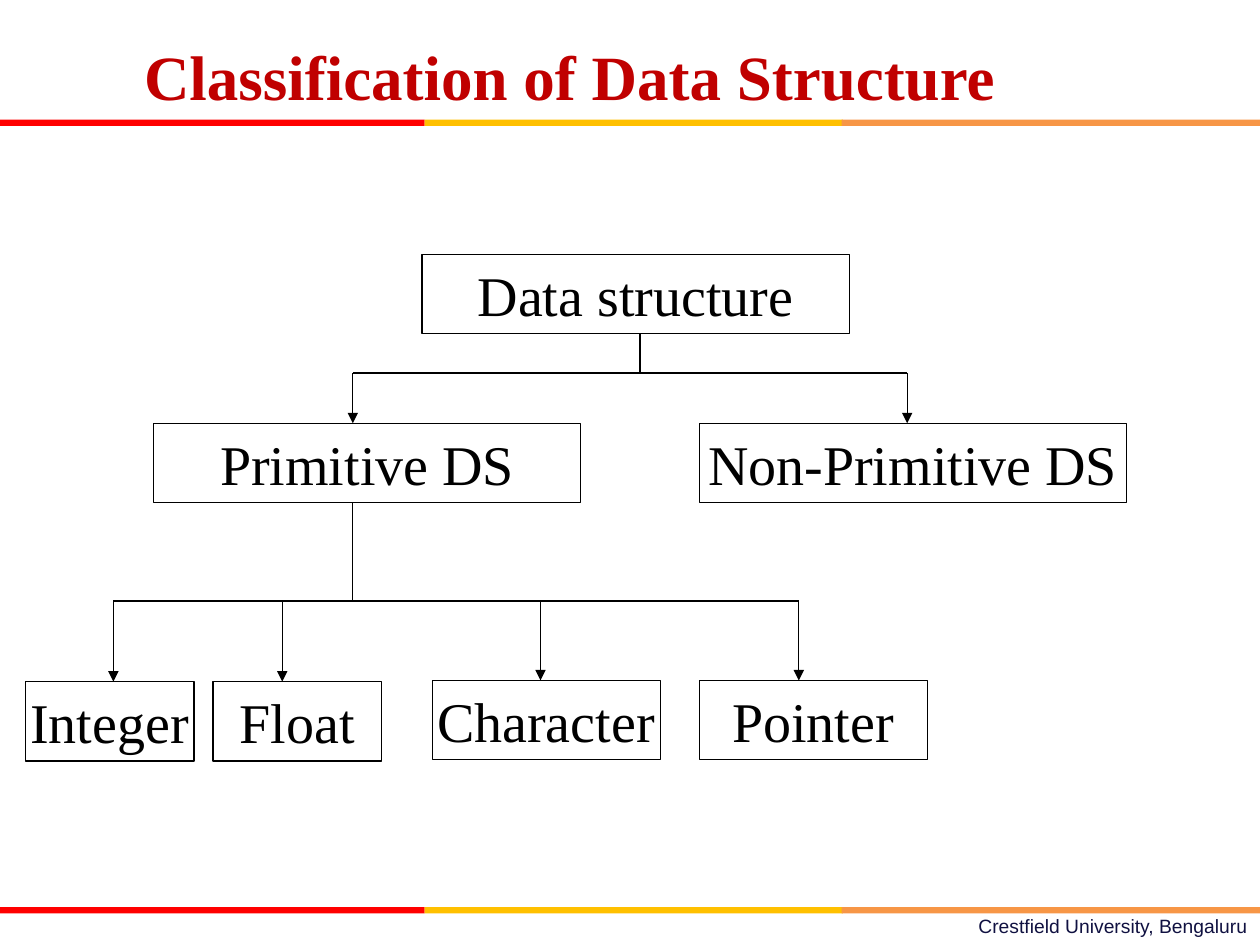
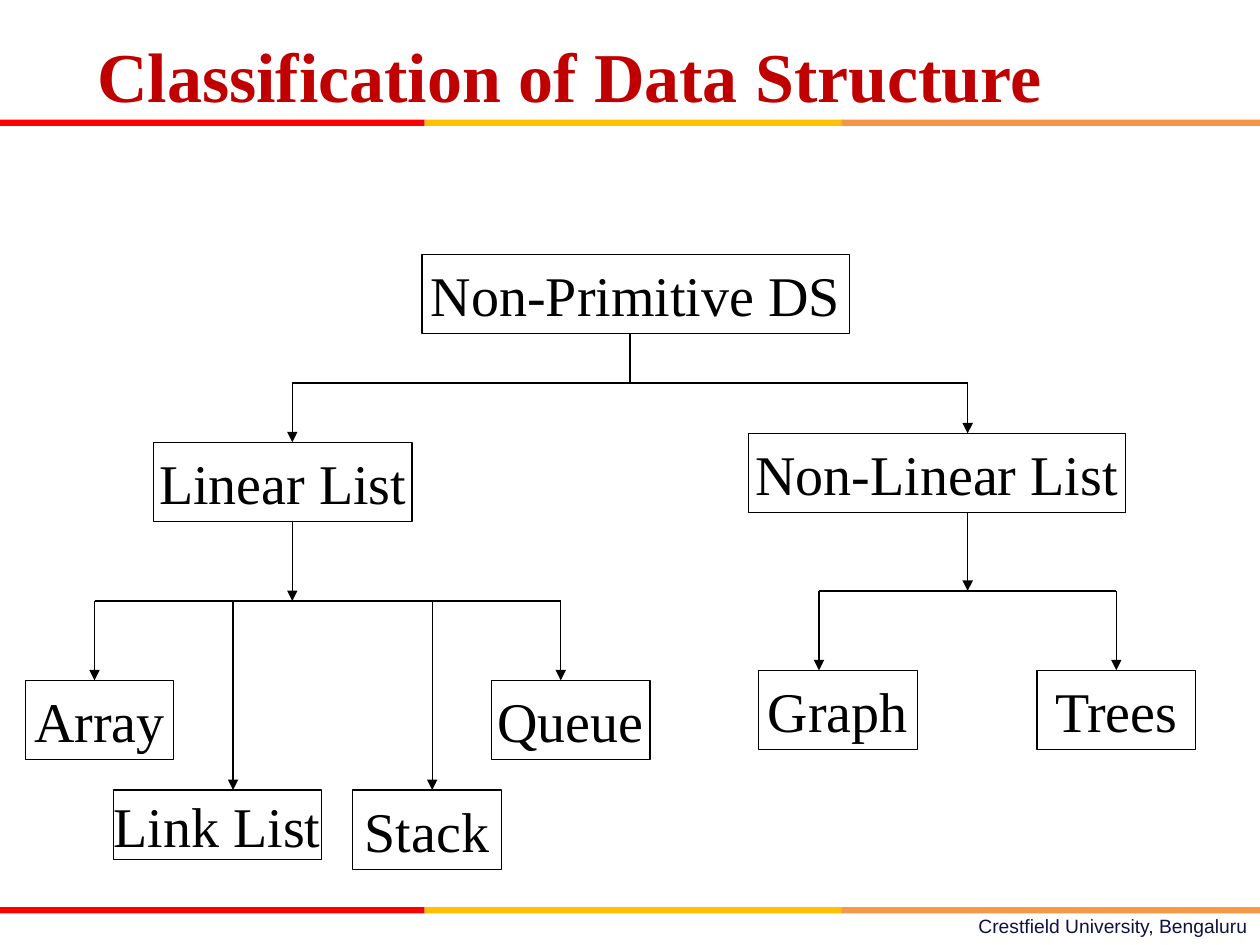
"""Build two slides that classify data structures as tree diagrams."""
from lxml.etree import SubElement
from pptx import Presentation
from pptx.dml.color import RGBColor
from pptx.enum.shapes import MSO_CONNECTOR as Connector, MSO_SHAPE as Shape
from pptx.enum.text import MSO_ANCHOR as Anchor, MSO_AUTO_SIZE as AutoSize, PP_ALIGN as Align
from pptx.oxml.ns import qn
from pptx.util import Inches, Pt

COLORS = {
    "title": "C00000", "footer": "101141", "ink": "000000", "paper": "FFFFFF",
    "red": "FF0000", "amber": "FFC000", "orange": "F79646",
}
SERIF, SANS = "Times New Roman", "Arial"
TITLE = "Classification of Data Structure"
FOOTER = "Crestfield University, Bengaluru"
FOOTER_AREA = (3.58, 7.21, 6.42, 0.29)
BAND_PARTS = [("red", 0, 3.37), ("amber", 3.37, 3.32), ("orange", 6.68, 3.32)]
BAND_TOPS = [0.95, 7.2]
BAND_HEIGHT = 0.05
BOX_HEIGHT = 0.63

# Boxes: left, top, width, optional height. Branches: parent, stem x, bar y, stem arrow, drops.
SLIDES = [
    {
        "title_size": 36,
        "title_area": (0.02, 0.13, 9, 0.94),
        "boxes": {
            "Data structure": (3.35, 2.02, 3.39),
            "Primitive DS": (1.22, 3.36, 3.39),
            "Non-Primitive DS": (5.55, 3.36, 3.39),
            "Integer": (0.2, 5.41, 1.34),
            "Float": (1.69, 5.41, 1.34),
            "Character": (3.43, 5.4, 1.81),
            "Pointer": (5.55, 5.4, 1.81),
        },
        "branches": [
            ("Data structure", 5.08, 2.96, False,
             {"Primitive DS": 2.8, "Non-Primitive DS": 7.2}),
            ("Primitive DS", 2.8, 4.77, False,
             {"Integer": 0.9, "Float": 2.24, "Character": 4.29, "Pointer": 6.34}),
        ],
    },
    {
        "title_size": 40,
        "title_area": (0.02, -0.03, 9, 1.25),
        "boxes": {
            "Non-Primitive DS": (3.35, 2.02, 3.39),
            "Linear List": (1.22, 3.51, 2.05),
            "Non-Linear List": (5.94, 3.44, 2.99),
            "Array": (0.2, 5.4, 1.18),
            "Link List": (0.9, 6.27, 1.65, 0.55),
            "Stack": (2.8, 6.27, 1.18),
            "Queue": (3.9, 5.4, 1.26),
            "Graph": (6.02, 5.32, 1.26),
            "Trees": (8.23, 5.32, 1.26),
        },
        "branches": [
            ("Non-Primitive DS", 5, 3.04, False,
             {"Linear List": 2.32, "Non-Linear List": 7.68}),
            ("Linear List", 2.32, 4.77, True,
             {"Array": 0.75, "Link List": 1.85, "Stack": 3.43, "Queue": 4.45}),
            ("Non-Linear List", 7.68, 4.69, True, {"Graph": 6.5, "Trees": 8.86}),
        ],
    },
]


def color(name):
    """Return the named colour."""
    return RGBColor.from_string(COLORS[name])


def inches(*values):
    """Convert numbers to lengths."""
    return [Inches(value) for value in values]


def write_text(shape, text, *, size, font=SERIF, ink="ink", bold=False,
               align=Align.CENTER, anchor=Anchor.MIDDLE, wrap=True):
    """Put one formatted line of text in a shape."""
    frame = shape.text_frame
    frame.auto_size = AutoSize.NONE
    frame.word_wrap = wrap
    frame.vertical_anchor = anchor
    paragraph = frame.paragraphs[0]
    paragraph.alignment = align
    run = paragraph.add_run()
    run.text = text
    run.font.name, run.font.size, run.font.bold = font, Pt(size), bold
    run.font.color.rgb = color(ink)


def add_rectangle(slide, area, fill, line=None):
    """Add a flat rectangle, outlined if a line colour is given."""
    shape = slide.shapes.add_shape(Shape.RECTANGLE, *inches(*area))
    shape.shadow.inherit = False
    shape.fill.solid()
    shape.fill.fore_color.rgb = color(fill)
    if line:
        shape.line.color.rgb = color(line)
        shape.line.width = Pt(0.75)
    else:
        shape.line.fill.background()
    return shape


def add_line(slide, start, end, arrow=False):
    """Add a thin line, with an arrowhead at its end if asked."""
    connector = slide.shapes.add_connector(Connector.STRAIGHT, *inches(*start, *end))
    connector.line.color.rgb = color("ink")
    connector.line.width = Pt(0.75)
    if arrow:
        SubElement(connector.line._get_or_add_ln(), qn("a:tailEnd"), type="triangle")
    SubElement(connector._element.spPr, qn("a:effectLst"))


def add_frame(slide, title_size, title_area):
    """Add the footer, colour bands and title."""
    footer = slide.shapes.add_textbox(*inches(*FOOTER_AREA))
    write_text(footer, FOOTER, size=11, font=SANS, ink="footer",
               align=Align.RIGHT, anchor=Anchor.TOP)
    for top in BAND_TOPS:
        for fill, left, width in BAND_PARTS:
            add_rectangle(slide, (left, top, width, BAND_HEIGHT), fill)
    title = slide.shapes.title
    title.left, title.top, title.width, title.height = inches(*title_area)
    write_text(title, TITLE, size=title_size, ink="title", bold=True)


def add_tree(slide, boxes, branches):
    """Add the boxes and the branches that join them."""
    areas = {name: (*box, BOX_HEIGHT)[:4] for name, box in boxes.items()}
    for name, area in areas.items():
        box = add_rectangle(slide, area, "paper", line="ink")
        write_text(box, name, size=32, wrap=False)
    for parent, stem, bar, stem_arrow, drops in branches:
        _, top, _, height = areas[parent]
        add_line(slide, (stem, top + height), (stem, bar), stem_arrow)
        add_line(slide, (min(drops.values()), bar), (max(drops.values()), bar))
        for child, drop in drops.items():
            add_line(slide, (drop, bar), (drop, areas[child][1]), arrow=True)


def main():
    """Build and save the presentation."""
    presentation = Presentation()
    presentation.slide_width, presentation.slide_height = inches(10, 7.5)
    title_only = presentation.slide_layouts.get_by_name("Title Only")
    for content in SLIDES:
        slide = presentation.slides.add_slide(title_only)
        add_frame(slide, content["title_size"], content["title_area"])
        add_tree(slide, content["boxes"], content["branches"])
    presentation.save("out.pptx")


if __name__ == "__main__":
    main()
